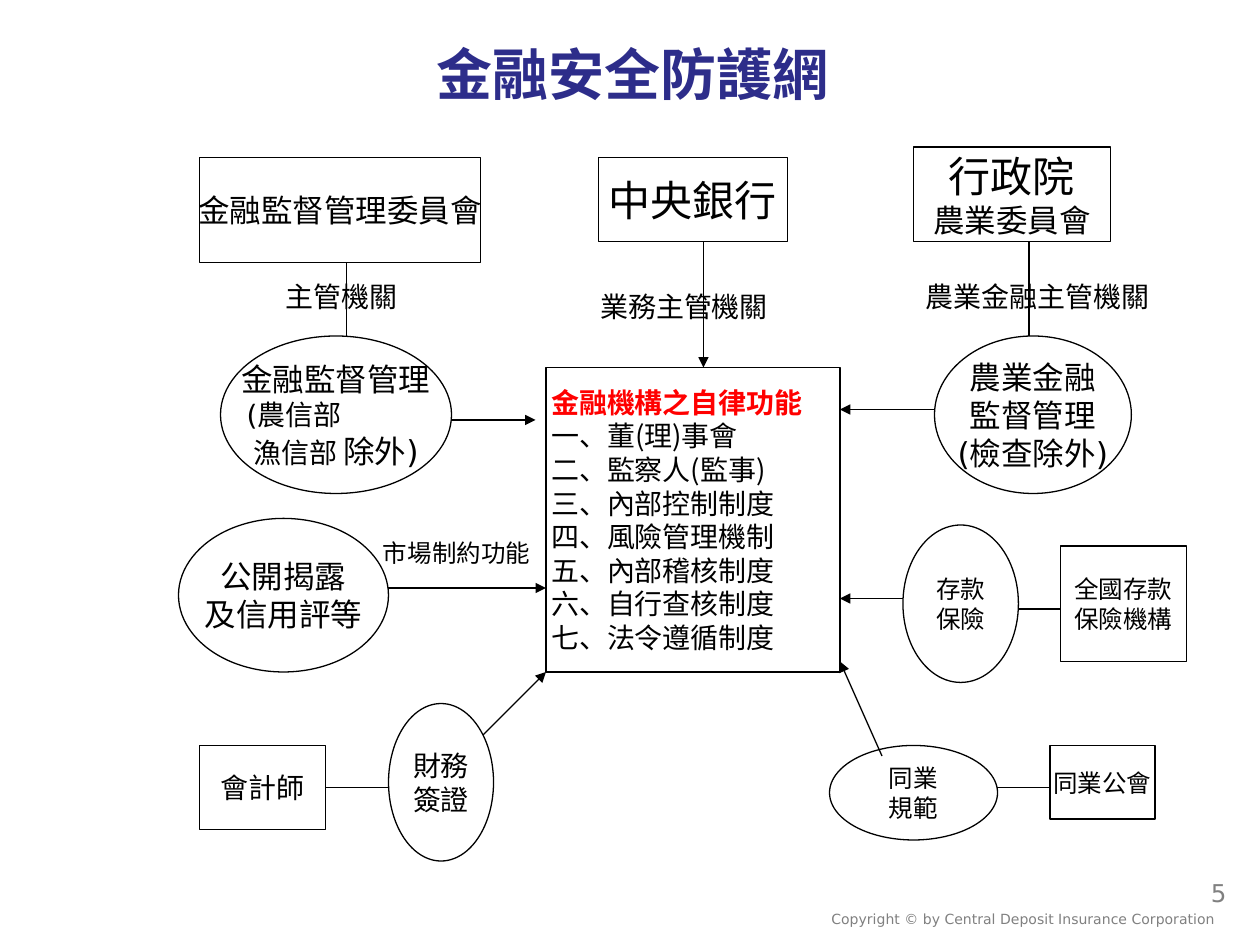
"""Build the financial safety net slide."""
import pptx
import pptx.dml.color
import pptx.enum.shapes
import pptx.enum.text
import pptx.oxml
import pptx.oxml.ns
import pptx.util

PX = 9525
COLORS = {"ink": "000000", "paper": "FFFFFF", "title": "2D2D8A",
          "accent": "FF0000", "footer": "808080"}
LATIN, CJK = "DejaVu Sans", "Noto Sans CJK SC"
KINDS = pptx.enum.shapes.MSO_SHAPE
ALIGN = pptx.enum.text.PP_ALIGN
ANCHOR = pptx.enum.text.MSO_ANCHOR


class SafetyNetSlide:
    """Hold the slide and draw its elements in one style."""

    def __init__(self, deck):
        self.slide = deck.slides.add_slide(deck.slide_layouts[5])

    def color(self, name):
        return pptx.dml.color.RGBColor.from_string(COLORS[name])

    def font(self, run, size, color="ink", face=LATIN, bold=False):
        run.font.size = pptx.util.Pt(size)
        run.font.name = face
        run.font.bold = bold
        run.font.color.rgb = self.color(color)

    def put_text(self, frame, text, size, color="ink", face=LATIN, bold=False,
                 align=ALIGN.CENTER, inset=None):
        frame.text = text
        if inset is not None:
            frame.margin_left = frame.margin_right = inset * PX
        for paragraph in frame.paragraphs:
            paragraph.alignment = align
            for run in paragraph.runs:
                self.font(run, size, color, face, bold)

    def title(self, at, text):
        heading = self.slide.shapes.title
        heading.left, heading.top, heading.width, heading.height = (v * PX for v in at)
        heading.text_frame.vertical_anchor = ANCHOR.MIDDLE
        self.put_text(heading.text_frame, text, 32, "title", bold=True)

    def label(self, at, text, size, color="ink", align=ALIGN.LEFT, inset=None):
        frame = self.slide.shapes.add_textbox(*(v * PX for v in at)).text_frame
        frame.word_wrap = True
        if inset is not None:
            frame.margin_top = frame.margin_bottom = inset * PX
        self.put_text(frame, text, size, color, align=align, inset=inset)

    def node(self, kind, at, text, size, **style):
        shape = self.slide.shapes.add_shape(kind, *(v * PX for v in at))
        shape.shadow.inherit = False
        shape.fill.solid()
        shape.fill.fore_color.rgb = self.color("paper")
        shape.line.color.rgb = self.color("ink")
        shape.line.width = pptx.util.Pt(0.75)
        shape.text_frame.word_wrap = False
        shape.text_frame.vertical_anchor = ANCHOR.MIDDLE
        self.put_text(shape.text_frame, text, size, **style)
        return shape.text_frame.paragraphs

    def link(self, ends, arrow=False):
        connector = self.slide.shapes.add_connector(
            pptx.enum.shapes.MSO_CONNECTOR.STRAIGHT, *(v * PX for v in ends))
        connector.line.color.rgb = self.color("ink")
        connector.line.width = pptx.util.Pt(0.75)
        properties = connector.element.spPr
        namespace = pptx.oxml.ns.nsdecls("a")
        if arrow:
            tip = pptx.oxml.parse_xml(f'<a:tailEnd {namespace} type="triangle"/>')
            properties.find(pptx.oxml.ns.qn("a:ln")).append(tip)
        properties.append(pptx.oxml.parse_xml(f"<a:effectLst {namespace}/>"))


def main():
    deck = pptx.Presentation()
    deck.slide_width, deck.slide_height = 960 * PX, 720 * PX
    net = SafetyNetSlide(deck)

    net.label((624, 689, 345, 23),
              "Copyright © by Central Deposit Insurance Corporation", 8, "footer")
    net.label((744, 664, 200, 48), "5", 14, "footer", ALIGN.RIGHT)
    net.title((176, 24, 612, 63), "金融安全防護網")

    net.node(KINDS.FLOWCHART_PROCESS, (152, 120, 214, 80), "金融監督管理委員會", 18, face=CJK)
    net.node(KINDS.FLOWCHART_PROCESS, (456, 120, 144, 64), "中央銀行", 24)
    council = net.node(KINDS.RECTANGLE, (696, 112, 150, 72), "行政院\n農業委員會", 24)
    net.font(council[1].runs[0], 18)

    net.node(KINDS.OVAL, (136, 395, 160, 117), "公開揭露\n及信用評等", 18)
    supervision = net.node(KINDS.OVAL, (168, 256, 176, 120),
                           "金融監督管理\n(農信部\n漁信部 ", 18)
    for paragraph in supervision[1:]:
        net.font(paragraph.runs[0], 16)
    exclusion = supervision[2].add_run()
    exclusion.text = "除外)"
    net.font(exclusion, 18)
    supervision[1].alignment = ALIGN.LEFT
    supervision[1]._p.get_or_add_pPr().set("marL", str(4 * PX))
    net.node(KINDS.OVAL, (712, 256, 150, 120), "農業金融\n監督管理\n(檢查除外)", 18)

    net.node(KINDS.RECTANGLE, (152, 568, 96, 64), "會計師", 16)
    net.node(KINDS.FLOWCHART_CONNECTOR, (296, 536, 80, 120), "財務\n簽證", 16)
    functions = ["金融機構之自律功能", "一、董(理)事會", "二、監察人(監事)",
                 "三、內部控制制度", "四、風險管理機制", "五、內部稽核制度",
                 "六、自行查核制度", "七、法令遵循制度"]
    discipline = net.node(KINDS.RECTANGLE, (416, 280, 224, 232), "\n".join(functions), 16,
                          face=CJK, align=ALIGN.LEFT, inset=4)
    net.font(discipline[0].runs[0], 16, "accent", CJK, True)
    net.node(KINDS.FLOWCHART_CONNECTOR, (632, 568, 128, 72), "同業\n規範", 14)
    net.node(KINDS.RECTANGLE, (800, 568, 80, 56), "同業公會", 14)
    net.node(KINDS.FLOWCHART_CONNECTOR, (688, 400, 88, 120), "存款\n保險", 14)
    net.node(KINDS.RECTANGLE, (808, 416, 96, 88), "全國存款\n保險機構", 14)

    for ends in [(784, 184, 784, 256), (264, 200, 264, 256), (248, 600, 296, 600),
                 (776, 464, 808, 464), (760, 600, 800, 600)]:
        net.link(ends)
    for ends in [(536, 184, 536, 280), (712, 312, 640, 312), (344, 320, 408, 320),
                 (296, 448, 416, 448), (368, 560, 416, 512), (688, 456, 640, 456),
                 (672, 576, 640, 504)]:
        net.link(ends, arrow=True)

    net.label((280, 408, 136, 26), "市場制約功能", 14, align=ALIGN.CENTER, inset=2)
    net.label((448, 216, 168, 36), "業務主管機關", 16)
    net.label((208, 208, 112, 36), "主管機關", 16)
    net.label((696, 208, 200, 36), "農業金融主管機關", 16)
    deck.save("out.pptx")


if __name__ == "__main__":
    main()
